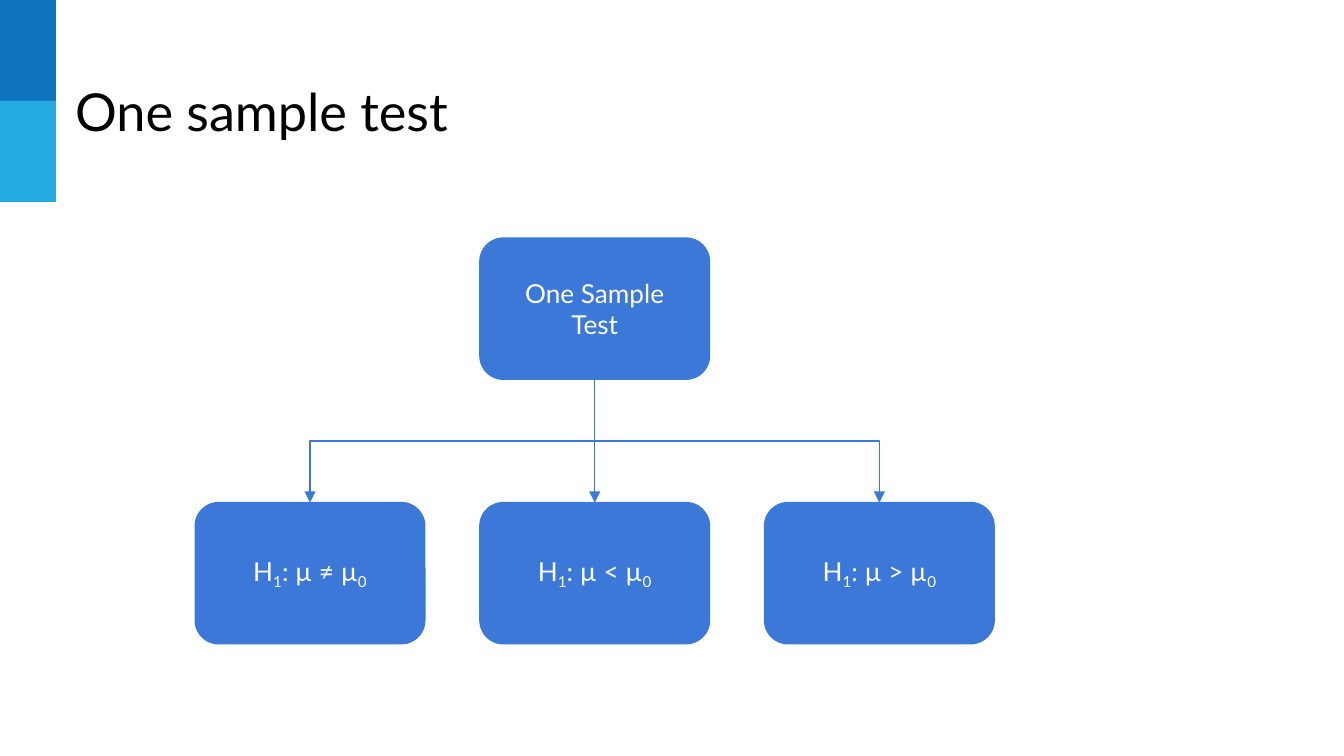
from lxml.etree import SubElement
from pptx import Presentation
from pptx.dml.color import RGBColor
from pptx.enum.shapes import MSO_CONNECTOR as Link, MSO_SHAPE as Shape
from pptx.enum.text import MSO_ANCHOR as Anchor, MSO_AUTO_SIZE as AutoSize, PP_ALIGN as Align
from pptx.oxml.ns import qn
from pptx.util import Cm, Pt

DARK_BLUE = RGBColor(0x0F, 0x75, 0xBD)
LIGHT_BLUE = RGBColor(0x25, 0xAA, 0xE2)
NODE_BLUE = RGBColor(0x3C, 0x78, 0xD8)
WHITE = RGBColor(0xFF, 0xFF, 0xFF)
BLACK = RGBColor(0, 0, 0)

NODE_WIDTH, NODE_HEIGHT = Cm(4.34), Cm(2.67)
ROOT_LEFT, ROOT_TOP = Cm(9.07), Cm(4.5)
HYPOTHESIS_TOP, HYPOTHESIS_PITCH = Cm(9.5), Cm(5.38)
BAR_WIDTH, BAR_HEIGHT = Cm(1.06), Cm(1.91)
INSET = Cm(0.25)
FRAME = {
    "word_wrap": True,
    "auto_size": AutoSize.NONE,
    "margin_left": INSET,
    "margin_right": INSET,
    "margin_top": INSET,
    "margin_bottom": INSET,
}


def apply_format(target, values):
    """Set each attribute of the target from a dict of values."""
    for attribute, value in values.items():
        setattr(target, attribute, value)


def write_text(frame, pieces, size, color, align, anchor):
    """Fill a text frame with (text, is_subscript) pieces."""
    apply_format(frame, FRAME | {"vertical_anchor": anchor})
    paragraph = frame.paragraphs[0]
    apply_format(paragraph, {"alignment": align, "line_spacing": 1.0})
    for text, is_subscript in pieces:
        run = paragraph.add_run()
        run.text = text
        apply_format(run.font, {"name": "Lato", "size": Pt(size)})
        run.font.color.rgb = color
        if is_subscript:
            run.font._element.set("baseline", "-25000")


def add_title(slide, text):
    """Place the slide heading in the title placeholder."""
    title = slide.shapes.title
    apply_format(title, {"left": Cm(1.17), "top": Cm(1.24),
                         "width": Cm(18.72), "height": Cm(1.6)})
    write_text(title.text_frame, [(text, False)], 28, BLACK, Align.LEFT, Anchor.TOP)


def add_bar(slide, row, color):
    """Add one colour block of the left edge."""
    bar = slide.shapes.add_shape(Shape.RECTANGLE, 0, row * BAR_HEIGHT, BAR_WIDTH, BAR_HEIGHT)
    bar.shadow.inherit = False
    bar.fill.solid()
    bar.fill.fore_color.rgb = color
    bar.line.fill.background()


def add_node(slide, left, top, pieces):
    """Add a rounded tree node with centred text."""
    node = slide.shapes.add_shape(Shape.ROUNDED_RECTANGLE, left, top, NODE_WIDTH, NODE_HEIGHT)
    node.shadow.inherit = False
    node.fill.solid()
    node.fill.fore_color.rgb = NODE_BLUE
    node.line.color.rgb = NODE_BLUE
    node.line.width = Pt(0.75)
    write_text(node.text_frame, pieces, 14, WHITE, Align.CENTER, Anchor.MIDDLE)
    return node


def turn_elbow(branch, step):
    """Rotate an elbow so that it leaves and arrives vertically."""
    spread, drop = branch.width, branch.height
    apply_format(branch, {"left": branch.left + (spread - drop) // 2,
                          "top": branch.top + (drop - spread) // 2,
                          "width": drop, "height": spread})
    branch.rotation = 270 if step > 0 else 90
    branch._element.spPr.find(qn("a:xfrm")).set("flipH", "1" if step > 0 else "0")


def add_branch(slide, root, hypothesis, step):
    """Join the root to a hypothesis with an arrow."""
    kind = Link.ELBOW if step else Link.STRAIGHT
    branch = slide.shapes.add_connector(kind, 0, 0, 0, 0)
    branch.begin_connect(root, 2)
    branch.end_connect(hypothesis, 0)
    if step:
        turn_elbow(branch, step)
    branch.line.color.rgb = NODE_BLUE
    branch.line.width = Pt(0.75)
    SubElement(branch.line._get_or_add_ln(), qn("a:tailEnd"), type="triangle")
    SubElement(branch._element.spPr, qn("a:effectLst"))


def main():
    """Build the slide and save it."""
    deck = Presentation()
    apply_format(deck, {"slide_width": Cm(25.4), "slide_height": Cm(14.29)})
    slide = deck.slides.add_slide(deck.slide_layouts[5])
    for row, color in enumerate((DARK_BLUE, LIGHT_BLUE)):
        add_bar(slide, row, color)
    add_title(slide, "One sample test")
    root = add_node(slide, ROOT_LEFT, ROOT_TOP, [("One Sample Test", False)])
    for step, relation in zip((-1, 0, 1), "≠<>"):
        pieces = [("H", False), ("1", True), (f": µ {relation} µ", False), ("0", True)]
        left = ROOT_LEFT + step * HYPOTHESIS_PITCH
        hypothesis = add_node(slide, left, HYPOTHESIS_TOP, pieces)
        add_branch(slide, root, hypothesis, step)
    deck.save("out.pptx")


if __name__ == "__main__":
    main()
